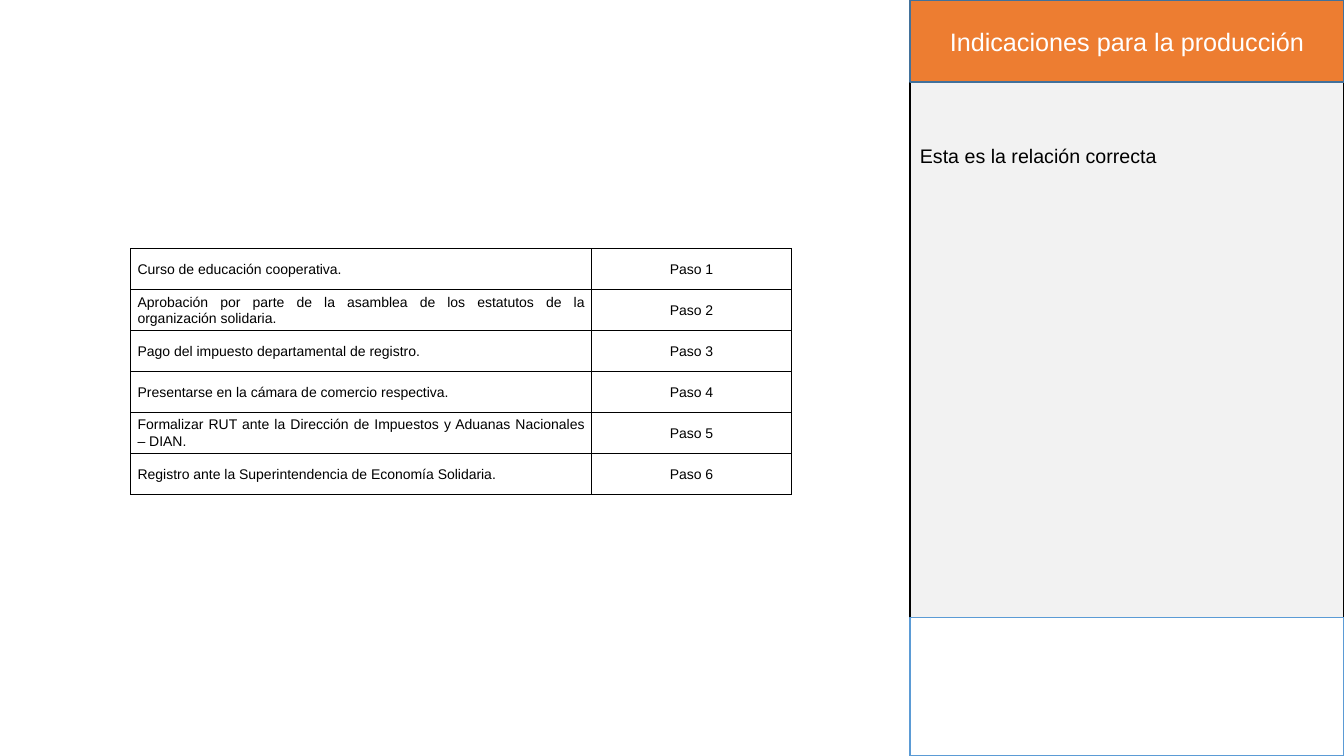
from lxml.etree import SubElement
from pptx import Presentation
from pptx.dml.color import RGBColor
from pptx.enum.shapes import MSO_SHAPE
from pptx.enum.text import MSO_ANCHOR as Anchor, MSO_AUTO_SIZE as AutoSize, PP_ALIGN as Align
from pptx.oxml.ns import qn
from pptx.util import Pt

BLACK = RGBColor(0x00, 0x00, 0x00)
WHITE = RGBColor(0xFF, 0xFF, 0xFF)
LIGHT_GRAY = RGBColor(0xF2, 0xF2, 0xF2)
ORANGE = RGBColor(0xED, 0x7D, 0x31)
DARK_BLUE = RGBColor(0x42, 0x71, 0x9B)
BLUE = RGBColor(0x5B, 0x9B, 0xD5)

SLIDE_WIDTH, SLIDE_HEIGHT = 960, 540
PANEL_LEFT, PANEL_WIDTH = 650, 310
HEADER_HEIGHT = 58.5
FOOTER_TOP = 441
TABLE_LEFT, TABLE_TOP = 93.3, 177.6
COLUMN_WIDTHS = (329, 143.3)
ROW_HEIGHT = 29.28
STEPS = (
    "Curso de educación cooperativa.",
    "Aprobación por parte de la asamblea de los estatutos de la organización solidaria.",
    "Pago del impuesto departamental de registro.",
    "Presentarse en la cámara de comercio respectiva.",
    "Formalizar RUT ante la Dirección de Impuestos y Aduanas Nacionales – DIAN.",
    "Registro ante la Superintendencia de Economía Solidaria.",
)


class SlideBuilder:
    font_name = "Arial"
    line_width = 1
    border_width = 0.75

    def __init__(self, slide):
        self.slide = slide

    def place(self, shape, left, top, width, height):
        shape.left, shape.top = Pt(left), Pt(top)
        shape.width, shape.height = Pt(width), Pt(height)

    def paint(self, shape, fill, line):
        shape.fill.solid()
        shape.fill.fore_color.rgb = fill
        shape.line.color.rgb = line
        shape.line.width = Pt(self.line_width)

    def set_text(self, text_frame, text, size, color, align):
        text_frame.text = text
        text_frame.word_wrap = True
        paragraph = text_frame.paragraphs[0]
        paragraph.alignment = align
        font = paragraph.runs[0].font
        font.name, font.size = self.font_name, Pt(size)
        font.color.rgb = color
        return paragraph

    def rectangle(self, box, fill, line):
        shape = self.slide.shapes.add_shape(MSO_SHAPE.RECTANGLE, *map(Pt, box))
        shape.shadow.inherit = False
        self.paint(shape, fill, line)

    def title(self, text, box, fill, line):
        shape = self.slide.shapes.title
        self.place(shape, *box)
        self.paint(shape, fill, line)
        self.set_text(shape.text_frame, text, 18, WHITE, Align.CENTER)
        shape.text_frame.auto_size = AutoSize.NONE
        shape.text_frame.vertical_anchor = Anchor.MIDDLE
        self.slide.shapes.element.append(shape.element)

    def text(self, text, box):
        shape = self.slide.shapes.add_textbox(*map(Pt, box))
        self.set_text(shape.text_frame, text, 14, BLACK, Align.LEFT)

    def borders(self, cell):
        properties = cell._tc.get_or_add_tcPr()
        for side in ("a:lnL", "a:lnR", "a:lnT", "a:lnB"):
            line = SubElement(properties, qn(side), w=str(Pt(self.border_width)))
            fill = SubElement(line, qn("a:solidFill"))
            SubElement(fill, qn("a:srgbClr"), val=str(BLACK))

    def cell(self, cell, text, align):
        self.borders(cell)
        cell.fill.solid()
        cell.fill.fore_color.rgb = WHITE
        cell.vertical_anchor = Anchor.MIDDLE
        cell.margin_left = cell.margin_right = Pt(5)
        cell.margin_top = cell.margin_bottom = Pt(0)
        paragraph = self.set_text(cell.text_frame, text, 10, BLACK, align)
        paragraph.line_spacing = 1.07

    def table(self, left, top, widths, row_height, rows, alignments):
        box = (left, top, sum(widths), row_height * len(rows))
        table = self.slide.shapes.add_table(len(rows), len(widths), *map(Pt, box)).table
        table.first_row = table.horz_banding = False
        for column, width in zip(table.columns, widths):
            column.width = Pt(width)
        for row, texts in zip(table.rows, rows):
            row.height = Pt(row_height)
            for cell, text, align in zip(row.cells, texts, alignments):
                self.cell(cell, text, align)


presentation = Presentation()
presentation.slide_width, presentation.slide_height = Pt(SLIDE_WIDTH), Pt(SLIDE_HEIGHT)
title_only = presentation.slide_layouts.get_by_name("Title Only")
builder = SlideBuilder(presentation.slides.add_slide(title_only))

builder.rectangle((PANEL_LEFT, 0, PANEL_WIDTH, SLIDE_HEIGHT), LIGHT_GRAY, BLACK)
builder.text("Esta es la relación correcta", (PANEL_LEFT, 99.5, PANEL_WIDTH, 237.5))
builder.title("Indicaciones para la producción",
              (PANEL_LEFT, 0, PANEL_WIDTH, HEADER_HEIGHT), ORANGE, DARK_BLUE)
builder.rectangle((PANEL_LEFT, FOOTER_TOP, PANEL_WIDTH, SLIDE_HEIGHT - FOOTER_TOP), WHITE, BLUE)
rows = [(step, f"Paso {number}") for number, step in enumerate(STEPS, 1)]
builder.table(TABLE_LEFT, TABLE_TOP, COLUMN_WIDTHS, ROW_HEIGHT, rows,
              (Align.JUSTIFY, Align.CENTER))

presentation.save("out.pptx")
